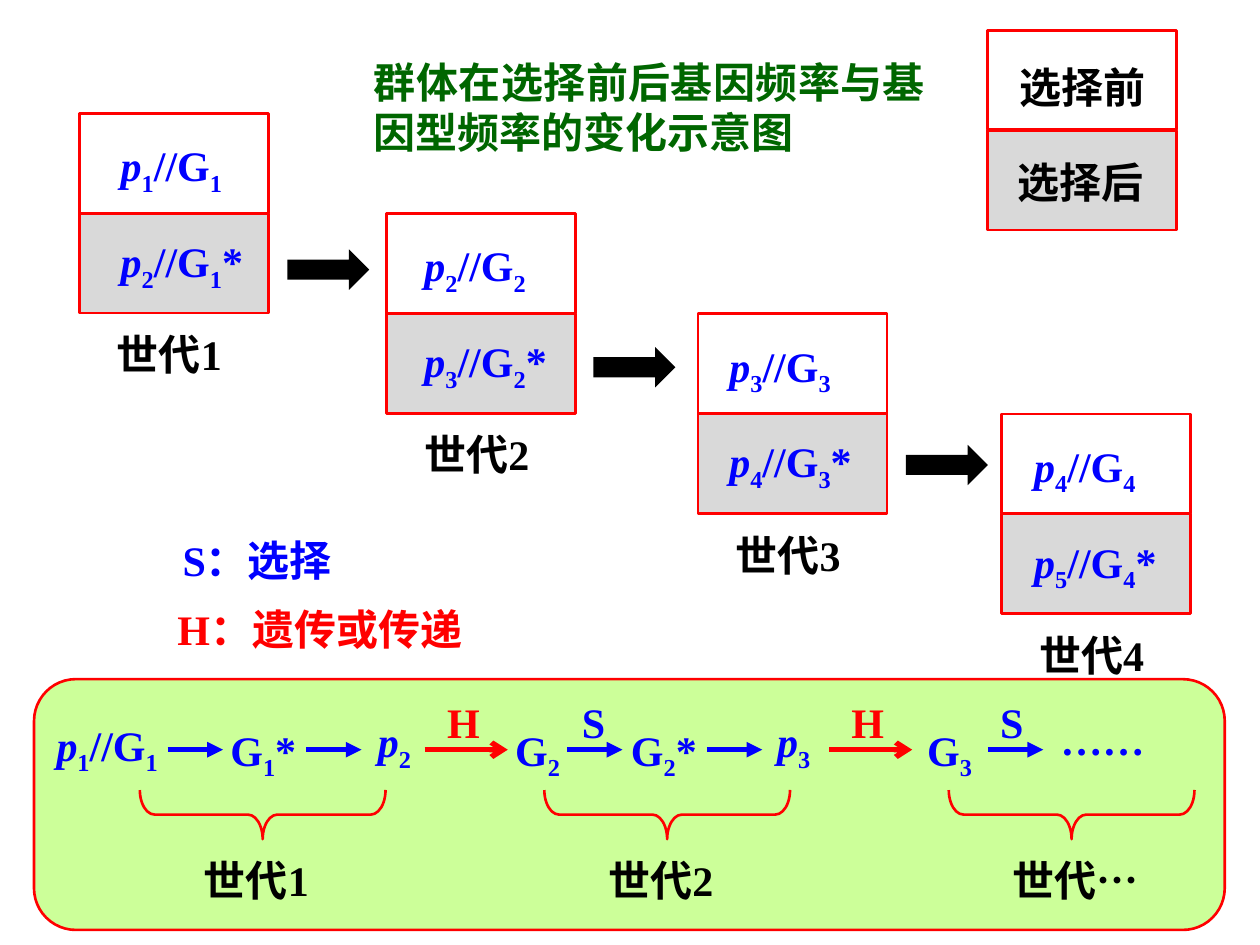
from lxml.etree import SubElement
from pptx import Presentation
from pptx.dml.color import RGBColor
from pptx.enum.shapes import MSO_CONNECTOR, MSO_SHAPE
from pptx.enum.text import PP_ALIGN
from pptx.oxml.ns import qn
from pptx.util import Inches, Pt

RED, BLUE, BLACK, GREEN = "FF0000", "0000FF", "000000", "006600"
WHITE, GREY, LIME = "FFFFFF", "D9D9D9", "CCFF99"
SERIF, SANS = "Times New Roman", "Arial"
BOX_WIDTH, BOX_HEIGHT = 1.5, 0.79
STEP = 0.795


def color(hex_value):
    return RGBColor.from_string(hex_value)


def add_shape(slide, kind, left, top, width, height, fill=None, line=None):
    shape = slide.shapes.add_shape(
        kind, Inches(left), Inches(top), Inches(width), Inches(height))
    shape.shadow.inherit = False
    if fill:
        shape.fill.solid()
        shape.fill.fore_color.rgb = color(fill)
    else:
        shape.fill.background()
    if line:
        shape.line.color.rgb = color(line)
        shape.line.width = Pt(1.5)
    else:
        shape.line.fill.background()
    return shape


def format_run(run, hex_value, font=SERIF):
    run.font.size = Pt(24)
    run.font.bold = True
    run.font.name = font
    run.font.color.rgb = color(hex_value)


def add_box(slide, left, top, width, height):
    box = slide.shapes.add_textbox(
        Inches(left), Inches(top), Inches(width), Inches(height))
    box.text_frame.word_wrap = True
    return box.text_frame.paragraphs[0]


def add_text(slide, text, left, top, width, hex_value=BLACK, font=SERIF, height=0.5):
    paragraph = add_box(slide, left, top, width, height)
    paragraph.text = text
    format_run(paragraph.runs[0], hex_value, font)
    return paragraph


def add_formula(slide, parts, left, top, width):
    """Digits become subscripts and the letter p is italic."""
    paragraph = add_box(slide, left, top, width, 0.56)
    for part in parts:
        run = paragraph.add_run()
        run.text = part
        format_run(run, BLUE)
        if part == "p":
            run.font.italic = True
        elif part.isdigit():
            run.font._element.set("baseline", "-25000")


def add_arrow(slide, left, width, hex_value, head):
    y = Inches(5.95)
    arrow = slide.shapes.add_connector(
        MSO_CONNECTOR.STRAIGHT, Inches(left), y, Inches(left + width), y)
    arrow.line.color.rgb = color(hex_value)
    arrow.line.width = Pt(3)
    SubElement(arrow.line._get_or_add_ln(), qn("a:tailEnd"), type=head)
    SubElement(arrow._element.spPr, qn("a:effectLst"))


def add_box_pair(slide, left, top):
    for row, fill in enumerate((WHITE, GREY)):
        add_shape(slide, MSO_SHAPE.RECTANGLE, left, top + row * STEP,
                  BOX_WIDTH, BOX_HEIGHT, fill, RED)


def add_generations(slide):
    columns = ((0.63, 0.86), (3.07, 3.27), (5.54, 5.69), (7.95, 8.11))
    for index, (left, text_left) in enumerate(columns):
        top = 0.9 + index * STEP
        now, after = str(index + 1), str(index + 2)
        add_box_pair(slide, left, top)
        add_formula(slide, ["p", now, "//G", now], text_left, top + 0.16, 1.15)
        add_formula(slide, ["p", after, "//G", now, "*"], text_left, top + 0.92, 1.34)
        add_text(slide, f"世代{now}", left + 0.2, top + 1.66, 1.24)
    for index, left in enumerate((2.28, 4.71, 7.19)):
        add_shape(slide, MSO_SHAPE.RIGHT_ARROW, left, 1.98 + index * 0.775,
                  0.65, 0.32, BLACK)


def add_legends(slide):
    add_box_pair(slide, 7.84, 0.24)
    add_text(slide, "选择前", 7.99, 0.44, 1.38, font=SANS)
    add_text(slide, "选择后", 7.98, 1.19, 1.38, font=SANS)
    add_text(slide, "S：选择", 1.35, 4.19, 2.11, BLUE)
    add_text(slide, "H：遗传或传递", 1.31, 4.74, 2.68, RED)


def add_chain(slide):
    # Terms of the chain
    terms = (
        (["p", "1", "//G", "1"], 0.35, 5.66, 1.15),
        (["G", "1", "*"], 1.73, 5.7, 0.77),
        (["p", "2"], 2.9, 5.63, 0.52),
        (["G", "2"], 3.99, 5.7, 0.68),
        (["G", "2", "*"], 4.91, 5.7, 0.77),
        (["p", "3"], 6.07, 5.63, 0.52),
        (["G", "3"], 7.26, 5.7, 0.68),
    )
    for parts, left, top, width in terms:
        add_formula(slide, parts, left, top, width)
    add_text(slide, "……", 8.32, 5.61, 1.02, BLUE)

    # Selection (blue) and heredity (red) arrows with their letters
    for left in (1.33, 2.43, 4.5, 5.61, 7.84):
        add_arrow(slide, left, 0.44, BLUE, "triangle")
    for left in (3.37, 6.58):
        add_arrow(slide, left, 0.66, RED, "arrow")
    for letter, left, hex_value in (("H", 3.45, RED), ("S", 4.52, BLUE),
                                    ("H", 6.66, RED), ("S", 7.84, BLUE)):
        add_text(slide, letter, left, 5.48, 0.43, hex_value)

    # Braces that group the chain by generation
    for index, label in enumerate(("世代1", "世代2", "世代…")):
        offset = index * 3.21
        brace = add_shape(slide, MSO_SHAPE.LEFT_BRACE, 1.89 + offset, 5.49,
                          0.39, 1.95, line=RED)
        brace.rotation = 270
        brace.adjustments[0] = 0.3
        add_text(slide, label, 1.52 + offset, 6.73, 1.24)


def main():
    presentation = Presentation()
    presentation.slide_width = Inches(10)
    presentation.slide_height = Inches(7.5)
    slide = presentation.slides.add_slide(presentation.slide_layouts[6])

    # Panel behind the chain
    add_shape(slide, MSO_SHAPE.ROUNDED_RECTANGLE, 0.27, 5.39, 9.45, 1.99, LIME, RED)

    title = add_text(slide, "群体在选择前后基因频率与基因型频率的变化示意图",
                     2.87, 0.4, 4.57, GREEN, SANS, 0.9)
    title.alignment = PP_ALIGN.JUSTIFY

    add_generations(slide)
    add_legends(slide)
    add_chain(slide)
    presentation.save("out.pptx")


if __name__ == "__main__":
    main()
